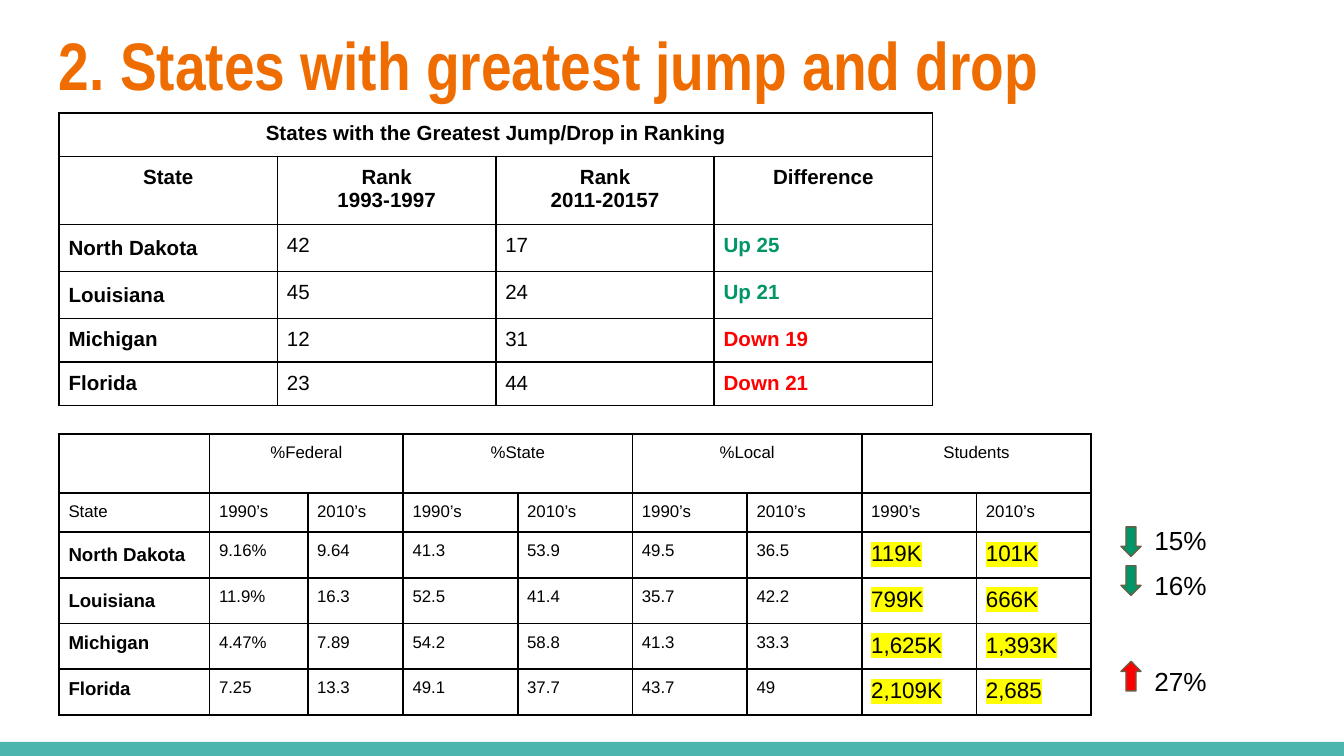
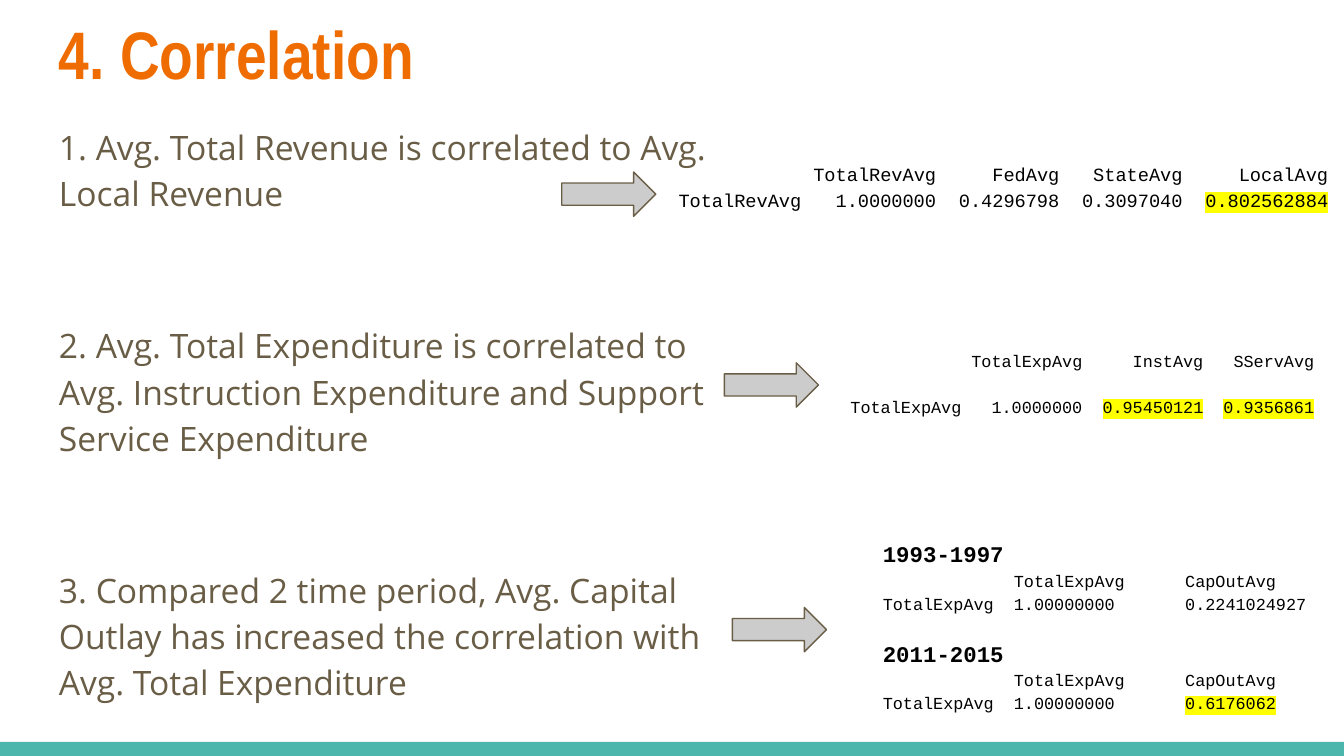
from lxml import etree
from pptx import Presentation
from pptx.dml.color import RGBColor
from pptx.enum.shapes import MSO_SHAPE
from pptx.enum.text import PP_ALIGN
from pptx.oxml.ns import qn
from pptx.util import Inches, Pt

RECTANGLE = MSO_SHAPE.RECTANGLE
DOWN_ARROW = MSO_SHAPE.DOWN_ARROW
RIGHT_ARROW = MSO_SHAPE.RIGHT_ARROW
LEFT, CENTER = PP_ALIGN.LEFT, PP_ALIGN.CENTER

TEAL, ORANGE, BROWN = "4DB6AC", "EF6C00", "695D46"
BLACK, GRAY, GREEN, RED, YELLOW = "000000", "CCCCCC", "009668", "FF0000", "FFFF00"
TITLE_FONT, BODY_FONT, TABLE_FONT, CODE_FONT = (
    "Arial Narrow", "Open Sans", "Arial", "Courier New")
CODE_CHAR_WIDTH = 0.6  # in ems
TABLE_LEFT = 0.44
CELL_MARGIN = 0.07
MIN_ROW = 0.01  # rows grow to fit their text

RANKING = [
    ["States with the Greatest Jump/Drop in Ranking", "", "", ""],
    ["State", "Rank\n1993-1997", "Rank\n2011-20157", "Difference"],
    ["North Dakota", "42", "17", "Up 25"],
    ["Louisiana", "45", "24", "Up 21"],
    ["Michigan", "12", "31", "Down 19"],
    ["Florida", "23", "44", "Down 21"],
]
FUNDING = [
    ["", "%Federal", "", "%State", "", "%Local", "", "Students", ""],
    ["State"] + ["1990’s", "2010’s"] * 4,
    ["North Dakota", "9.16%", "9.64", "41.3", "53.9", "49.5", "36.5", "119K", "101K"],
    ["Louisiana", "11.9%", "16.3", "52.5", "41.4", "35.7", "42.2", "799K", "666K"],
    ["Michigan", "4.47%", "7.89", "54.2", "58.8", "41.3", "33.3", "1,625K", "1,393K"],
    ["Florida", "7.25", "13.3", "49.1", "37.7", "43.7", "49", "2,109K", "2,685"],
]
FINDINGS = [
    "1. Avg. Total Revenue is correlated to Avg. Local Revenue",
    "2. Avg. Total Expenditure is correlated to Avg. Instruction Expenditure "
    "and Support Service Expenditure",
    "3. Compared 2 time period, Avg. Capital Outlay has increased the correlation "
    "with Avg. Total Expenditure",
]


def rgb(color):
    return RGBColor.from_string(color)


def write(paragraph, text, font, size, color=BLACK, bold=False, align=LEFT,
          spacing=None, before=0):
    """Fill a paragraph; parts between | marks are highlighted."""
    style = paragraph.font
    style.name, style.size, style.bold = font, Pt(size), bold
    style.color.rgb = rgb(color)
    paragraph.alignment = align
    paragraph.space_before = Pt(before)
    if spacing:
        paragraph.line_spacing = spacing
    for index, part in enumerate(text.split("|")):
        if not part:
            continue
        run = paragraph.add_run()
        run.text = part
        if index % 2:
            marker = etree.SubElement(run._r.get_or_add_rPr(), qn("a:highlight"))
            etree.SubElement(marker, qn("a:srgbClr"), val=YELLOW)


def set_tabs(paragraph, size, columns, align):
    """Put tab stops at the given character columns of monospaced text."""
    stops = etree.Element(qn("a:tabLst"))
    for column in columns:
        position = Pt(column * size * CODE_CHAR_WIDTH)
        etree.SubElement(stops, qn("a:tab"), pos=str(int(position)), algn=align)
    paragraph._p.get_or_add_pPr().find(qn("a:defRPr")).addprevious(stops)


def add_text_frame(slide, left, top, width, height):
    box = slide.shapes.add_textbox(
        Inches(left), Inches(top), Inches(width), Inches(height))
    frame = box.text_frame
    frame.word_wrap = True
    frame.margin_left = frame.margin_right = Inches(0.1)
    frame.margin_top = frame.margin_bottom = Inches(0.1)
    return frame


def next_paragraph(frame):
    first = frame.paragraphs[0]
    return frame.add_paragraph() if first.runs else first


def add_shape(slide, kind, left, top, width, height, fill, line=None):
    shape = slide.shapes.add_shape(
        kind, Inches(left), Inches(top), Inches(width), Inches(height))
    shape.shadow.inherit = False
    shape.fill.solid()
    shape.fill.fore_color.rgb = rgb(fill)
    if line:
        shape.line.color.rgb = rgb(line)
        shape.line.width = Pt(0.75)
    else:
        shape.line.fill.background()
    return shape


def add_slide(prs, title, title_top):
    slide = prs.slides.add_slide(prs.slide_layouts[6])
    add_shape(slide, RECTANGLE, 0, 5.52, 10, 0.11, TEAL)
    frame = add_text_frame(slide, 0.34, title_top, 9.32, 0.77)
    write(frame.paragraphs[0], title, TITLE_FONT, 36, ORANGE, bold=True)
    return slide


def add_borders(cell):
    properties = cell._tc.get_or_add_tcPr()
    for index, side in enumerate(("lnL", "lnR", "lnT", "lnB")):
        border = etree.Element(qn("a:" + side), w=str(int(Pt(1))))
        fill = etree.SubElement(border, qn("a:solidFill"))
        etree.SubElement(fill, qn("a:srgbClr"), val=BLACK)
        properties.insert(index, border)


def add_table(slide, top, widths, header_height, rows, merges, style_for):
    """Draw a bordered table; style_for(row, column, text) gives write() options."""
    heights = [header_height] + [MIN_ROW] * (len(rows) - 1)
    table = slide.shapes.add_table(
        len(rows), len(widths), Inches(TABLE_LEFT), Inches(top),
        Inches(sum(widths)), Inches(sum(heights))).table
    table.first_row = table.horz_banding = False
    for column, width in zip(table.columns, widths):
        column.width = Inches(width)
    for row, height in zip(table.rows, heights):
        row.height = Inches(height)
    for r, texts in enumerate(rows):
        for c, text in enumerate(texts):
            cell = table.cell(r, c)
            cell.fill.background()
            add_borders(cell)
            cell.margin_left = cell.margin_right = Inches(CELL_MARGIN)
            cell.margin_top = cell.margin_bottom = Inches(CELL_MARGIN)
            if not text:
                continue
            for line in text.split("\n"):
                write(next_paragraph(cell.text_frame), line, TABLE_FONT,
                      **style_for(r, c, text))
    for first, last in merges:
        table.cell(0, first).merge(table.cell(0, last))


def state_spacing(row):
    return 1.15 if row in (2, 3) else None


def ranking_style(row, column, text):
    if row < 2:
        return dict(size=11, bold=True, align=CENTER)
    if column == 0:
        return dict(size=11, bold=True, spacing=state_spacing(row))
    if column == 3:
        return dict(size=11, bold=True, color=GREEN if text.startswith("Up") else RED)
    return dict(size=11)


def funding_style(row, column, text):
    if row == 0:
        return dict(size=9, align=CENTER)
    if row > 1 and column == 0:
        return dict(size=10, bold=True, spacing=state_spacing(row))
    return dict(size=12 if text.startswith("|") else 9)


def add_change(slide, arrow_top, label_top, label, rising=False):
    arrow = add_shape(slide, DOWN_ARROW, 8.34, arrow_top, 0.15, 0.22,
                      RED if rising else GREEN, BROWN)
    arrow.rotation = 180 if rising else 0
    frame = add_text_frame(slide, 8.49, label_top, 0.68, 0.36)
    write(frame.paragraphs[0], label, TABLE_FONT, 14)


def add_code(frame, lines, size, columns, align, gap=0):
    for index, line in enumerate(lines):
        paragraph = next_paragraph(frame)
        write(paragraph, line, CODE_FONT, size, spacing=1.15, before=gap if index else 0)
        set_tabs(paragraph, size, columns, align)


def build_states(prs):
    slide = add_slide(prs, "2. States with greatest jump and drop", 0.07)
    add_table(slide, 0.84, [6.5 / 4] * 4, 0.29, RANKING, [(0, 3)], ranking_style)
    highlighted = [
        row if r < 2 else row[:7] + [f"|{count}|" for count in row[7:]]
        for r, row in enumerate(FUNDING)]
    add_table(slide, 3.23, [1.12, 0.73, 0.71] + [5.12 / 6] * 6, 0.26,
              highlighted, [(c, c + 1) for c in range(1, 9, 2)], funding_style)
    add_change(slide, 3.92, 3.8, "15%")
    add_change(slide, 4.21, 4.14, "16%")
    add_change(slide, 4.92, 4.85, "27%", rising=True)


def build_correlation(prs):
    slide = add_slide(prs, "4. Correlation", -0.01)
    findings = add_text_frame(slide, 0.34, 0.8, 5.29, 3.61)
    for index, finding in enumerate(FINDINGS):
        write(next_paragraph(findings), finding, BODY_FONT, 18, BROWN,
              spacing=1.15, before=56.5 if index else 0)

    revenue = add_text_frame(slide, 4.95, 1.09, 5.12, 0.67)
    add_code(revenue, ["\tTotalRevAvg\tFedAvg\tStateAvg\tLocalAvg",
                       "TotalRevAvg\t1.0000000\t0.4296798\t0.3097040\t|0.802562884|"],
             10, (23, 34, 45, 58), "r")

    expenditure = add_text_frame(slide, 6.23, 2.49, 3.77, 0.67)
    add_code(expenditure, ["\tTotalExpAvg\tInstAvg\tSServAvg",
                           "TotalExpAvg\t1.0000000\t|0.95450121|\t|0.9356861|"],
             9, (23, 35, 46), "r", gap=12)

    outlay = add_text_frame(slide, 6.47, 3.89, 3.48, 1.61)
    for period, value, gap in (("1993-1997", "0.2241024927", 0),
                               ("2011-2015", "|0.6176062|", 12)):
        write(next_paragraph(outlay), period, CODE_FONT, 12, bold=True,
              spacing=1.15, before=gap)
        add_code(outlay, ["\tTotalExpAvg\tCapOutAvg",
                          f"TotalExpAvg\t1.00000000\t{value}"], 9, (13, 30), "l")

    for left, top in ((4.18, 1.28), (5.39, 2.7), (5.45, 4.52)):
        add_shape(slide, RIGHT_ARROW, left, top, 0.7, 0.33, GRAY, BROWN)


def main():
    prs = Presentation()
    prs.slide_width = Inches(10)
    prs.slide_height = prs.slide_width * 9 // 16
    build_states(prs)
    build_correlation(prs)
    prs.save("out.pptx")


if __name__ == "__main__":
    main()
